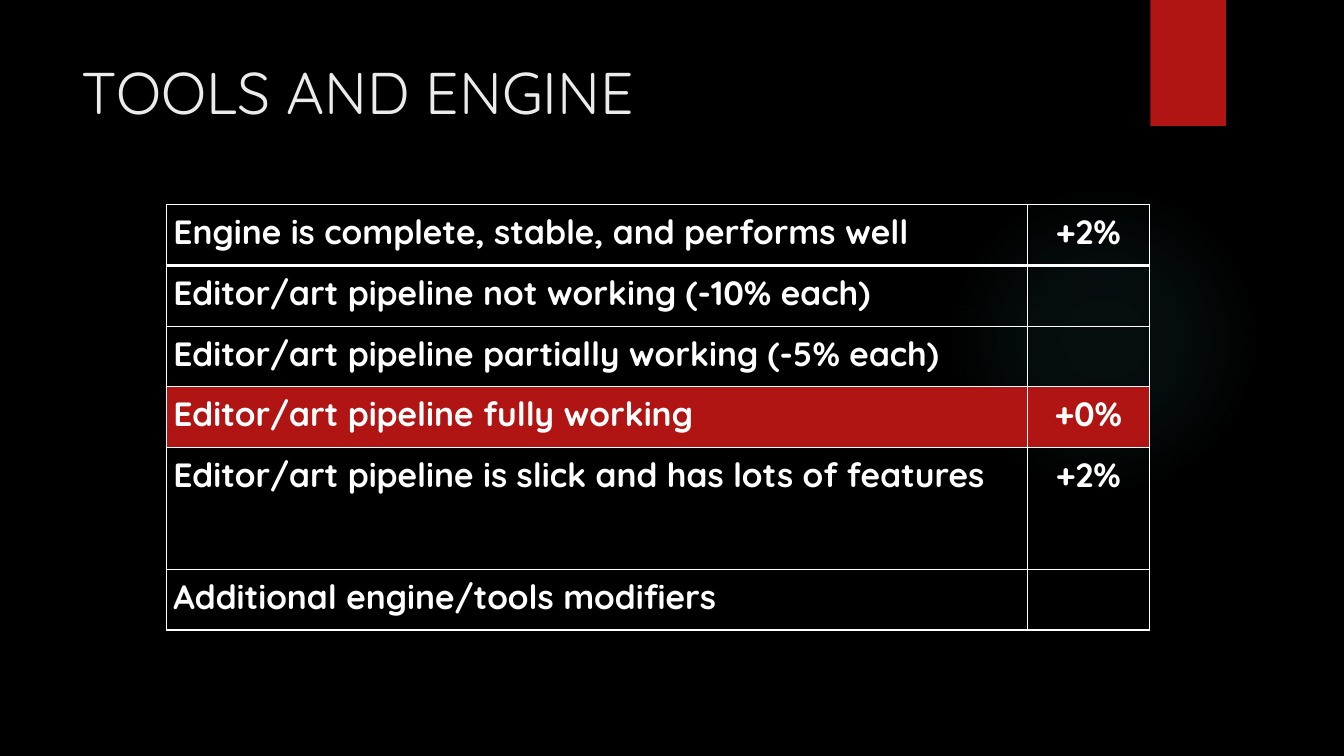
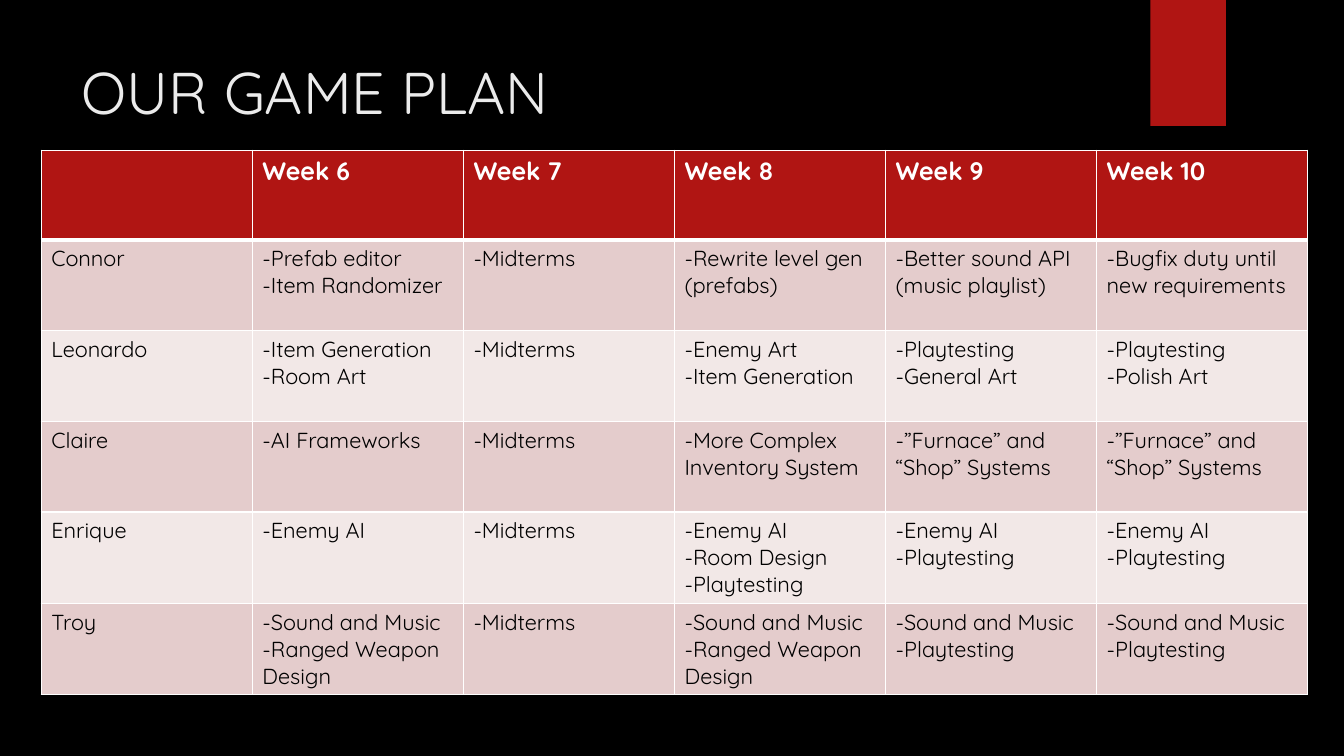
"""Build two dark slides that share a title style, a glow and a ribbon, each with a table."""
from dataclasses import dataclass
from typing import Optional

from lxml import etree
from pptx import Presentation
from pptx.dml.color import RGBColor
from pptx.enum import shapes, text
from pptx.oxml import parse_xml
from pptx.oxml.ns import qn
from pptx.util import Inches, Pt

COLORS = {
    "black": "000000", "white": "FFFFFF", "title": "EBEBEB", "red": "B01513",
    "rose": "E4CCCC", "pale": "F2E8E7", "glow": "50B9C1",
}
FONT = "Quicksand"
SPACE = "http://schemas.openxmlformats.org/drawingml/2006/main"


@dataclass(frozen=True)
class Look:
    """Fill and lettering of a table row."""
    size: float
    color: str
    fill: Optional[str] = None
    bold: bool = False


@dataclass(frozen=True)
class Row:
    """One table row."""
    high: float
    look: Look
    cells: tuple[str, ...]


@dataclass(frozen=True)
class Grid:
    """A table with its place and spacing."""
    left: float
    top: float
    cols: tuple[float, ...]
    rows: tuple[Row, ...]
    inset: tuple[float, float] = (0.1, 0.05)
    lead: Optional[float] = None
    center: Optional[int] = None


@dataclass(frozen=True)
class Page:
    """A slide title and its table."""
    title: str
    grid: Grid


def rgb(name: str) -> RGBColor:
    """Look up a named colour."""
    return RGBColor.from_string(COLORS[name])


def style(para, size: float, color: str, bold: bool = False) -> None:
    """Set the font of a paragraph."""
    font = para.font
    font.name, font.size, font.bold = FONT, Pt(size), bold
    font.color.rgb = rgb(color)


def add_plain(slide, kind, left: float, top: float, wide: float, high: float):
    """Add a shape without line or shadow."""
    shape = slide.shapes.add_shape(kind, *map(Inches, (left, top, wide, high)))
    shape.shadow.inherit = False
    shape.line.fill.background()
    return shape


def add_glow(slide) -> None:
    """Add the faint round glow."""
    glow = add_plain(slide, shapes.MSO_SHAPE.OVAL, 9.41, 1.83, 3.08, 3.08)
    glow.fill.background()
    stops = "".join(
        f'<a:gs pos="{pos * 1000}"><a:srgbClr val="{COLORS["glow"]}">'
        f'<a:alpha val="{alpha * 1000}"/></a:srgbClr></a:gs>'
        for pos, alpha in ((0, 7), (36, 6), (69, 0))
    )
    fade = parse_xml(
        f'<a:gradFill xmlns:a="{SPACE}"><a:gsLst>{stops}</a:gsLst><a:path path="circle">'
        '<a:fillToRect l="50000" t="50000" r="50000" b="50000"/></a:path></a:gradFill>'
    )
    props = glow.element.spPr
    props.replace(props.find(qn("a:noFill")), fade)


def add_frame(slide, title: str) -> None:
    """Add the glow, the ribbon and the title."""
    add_glow(slide)
    ribbon = add_plain(slide, shapes.MSO_SHAPE.RECTANGLE, 11.41, 0, 0.75, 1.25)
    ribbon.fill.solid()
    ribbon.fill.fore_color.rgb = rgb("red")
    head = slide.shapes.title
    head.left, head.top, head.width, head.height = map(Inches, (0.71, 0.5, 10.29, 1.53))
    frame = head.text_frame
    frame.text = title
    frame.word_wrap = True
    frame.auto_size = text.MSO_AUTO_SIZE.NONE
    frame.vertical_anchor = text.MSO_ANCHOR.TOP
    para = frame.paragraphs[0]
    para.alignment = text.PP_ALIGN.LEFT
    style(para, 42, "title")


def edge(cell, row: int) -> None:
    """Draw white cell borders, thick below the first row."""
    widths = {"L": 1, "R": 1, "T": 3 if row == 1 else 1, "B": 3 if row == 0 else 1}
    props = cell._tc.get_or_add_tcPr()
    for place, (side, width) in enumerate(widths.items()):
        line = etree.Element(qn(f"a:ln{side}"), w=str(Pt(width)))
        fill = etree.SubElement(line, qn("a:solidFill"))
        etree.SubElement(fill, qn("a:srgbClr"), val=COLORS["white"])
        props.insert(place, line)


def fill_cell(cell, words: str, look: Look, grid: Grid, mid: bool) -> None:
    """Write and format one cell."""
    if look.fill:
        cell.fill.solid()
        cell.fill.fore_color.rgb = rgb(look.fill)
    else:
        cell.fill.background()
    side, end = map(Inches, grid.inset)
    cell.margin_left = cell.margin_right = side
    cell.margin_top = cell.margin_bottom = end
    cell.text_frame.text = words
    for para in cell.text_frame.paragraphs:
        style(para, look.size, look.color, look.bold)
        para.line_spacing = grid.lead
        if mid:
            para.alignment = text.PP_ALIGN.CENTER


def add_grid(slide, grid: Grid) -> None:
    """Add a table."""
    wide, high = sum(grid.cols), sum(row.high for row in grid.rows)
    table = slide.shapes.add_table(
        len(grid.rows), len(grid.cols), *map(Inches, (grid.left, grid.top, wide, high))
    ).table
    table.first_row = table.horz_banding = False
    for col, width in zip(table.columns, grid.cols):
        col.width = Inches(width)
    for i, row in enumerate(grid.rows):
        table.rows[i].height = Inches(row.high)
        for j, words in enumerate(row.cells):
            cell = table.cell(i, j)
            fill_cell(cell, words, row.look, grid, j == grid.center)
            edge(cell, i)


PLAIN = Look(24, "white", bold=True)
MARK = Look(24, "white", "red", True)
HEAD = Look(18, "white", "red", True)
BANDS = (Look(15.5, "black", "rose"), Look(15.5, "black", "pale"))
UNIT = 4.22 / 7
REST = "-Midterms"
SHOP = "-”Furnace” and “Shop” Systems"
ENEMY = "-Enemy AI\n-Playtesting"
SOUND = "-Sound and Music\n-Playtesting"
RANGED = "-Sound and Music\n-Ranged Weapon Design"

TOOLS = (
    Row(UNIT, PLAIN, ("Engine is complete, stable, and performs well", "+2%")),
    Row(UNIT, PLAIN, ("Editor/art pipeline not working (-10% each)", "")),
    Row(UNIT, PLAIN, ("Editor/art pipeline partially working (-5% each)", "")),
    Row(UNIT, MARK, ("Editor/art pipeline fully working", "+0%")),
    Row(2 * UNIT, PLAIN, ("Editor/art pipeline is slick and has lots of features", "+2%")),
    Row(UNIT, PLAIN, ("Additional engine/tools modifiers", "")),
)
TASKS = (
    ("Connor", "-Prefab editor\n-Item Randomizer", REST, "-Rewrite level gen (prefabs)",
     "-Better sound API\n(music playlist)", "-Bugfix duty until new requirements"),
    ("Leonardo", "-Item Generation\n-Room Art", REST, "-Enemy Art\n-Item Generation",
     "-Playtesting\n-General Art", "-Playtesting\n-Polish Art"),
    ("Claire", "-AI Frameworks", REST, "-More Complex Inventory System", SHOP, SHOP),
    ("Enrique", "-Enemy AI", REST, "-Enemy AI\n-Room Design\n-Playtesting", ENEMY, ENEMY),
    ("Troy", RANGED, REST, RANGED, SOUND, SOUND),
)
PLAN = (
    Row(0.89, HEAD, ("", *(f"Week {week}" for week in range(6, 11)))),
    *(Row(0.9, BANDS[i % 2], cells) for i, cells in enumerate(TASKS)),
)
PAGES = (
    Page("TOOLS AND ENGINE", Grid(1.65, 2.03, (8.54, 1.21), TOOLS, (0.07, 0), 1.15, 1)),
    Page("OUR GAME PLAN", Grid(0.41, 1.49, (12.56 / 6,) * 6, PLAN)),
)


def main() -> None:
    """Build and save the slides."""
    deck = Presentation()
    deck.slide_width, deck.slide_height = Inches(13.33), Inches(7.5)
    back = deck.slide_master.background.fill
    back.solid()
    back.fore_color.rgb = rgb("black")
    for page in PAGES:
        slide = deck.slides.add_slide(deck.slide_layouts[5])
        add_frame(slide, page.title)
        add_grid(slide, page.grid)
    deck.save("out.pptx")


main()
